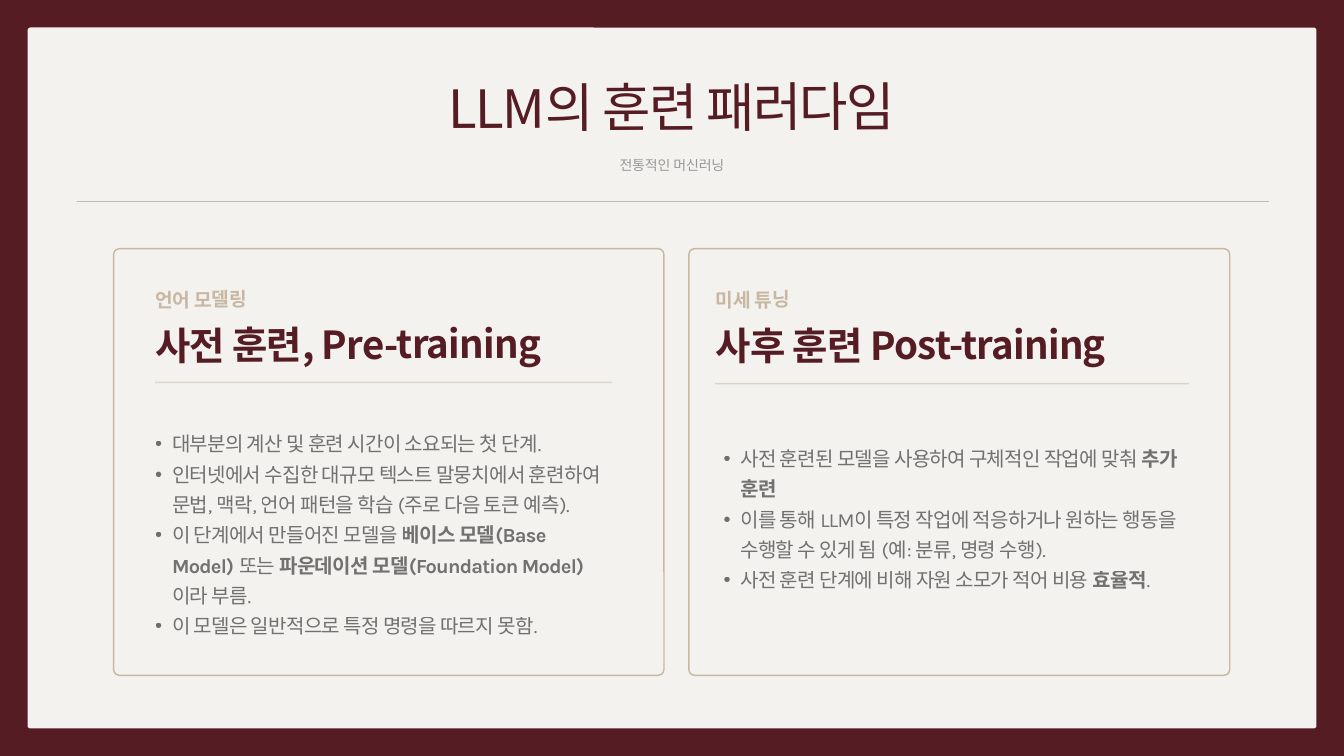
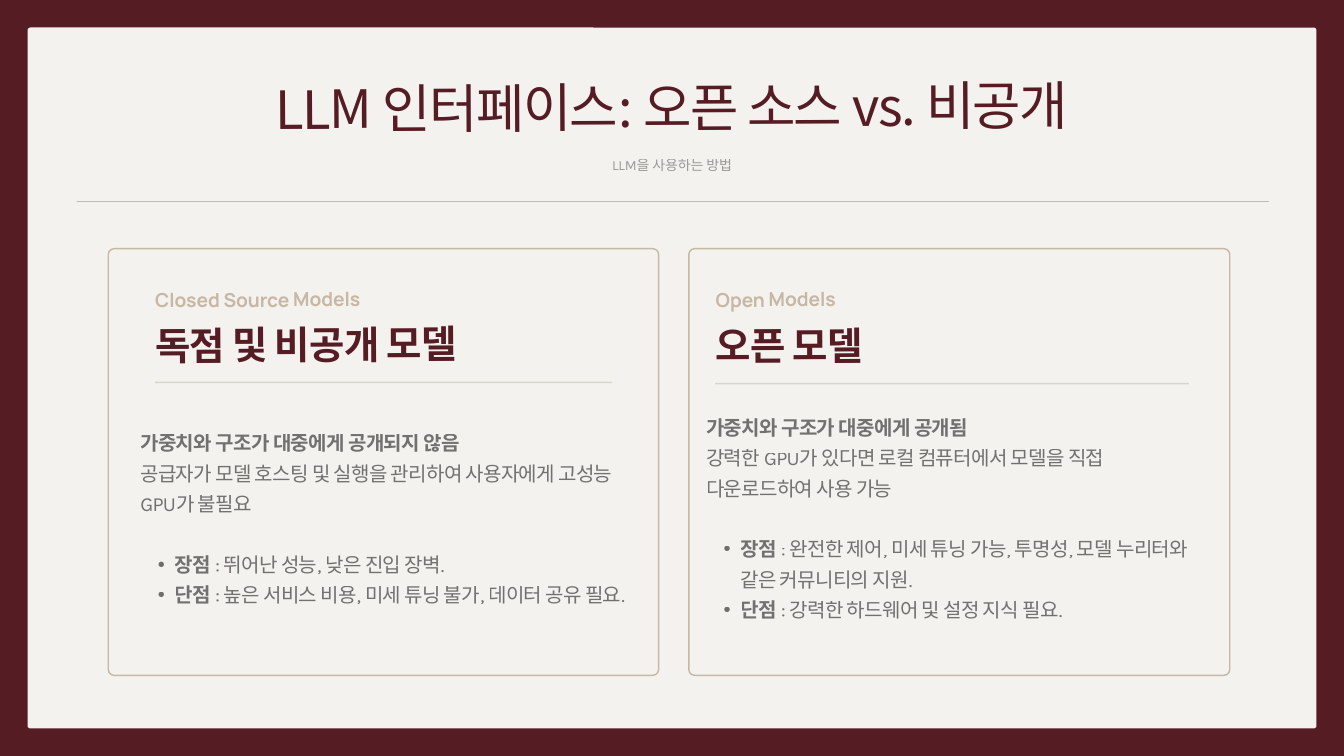
from dataclasses import dataclass

from lxml import etree
from pptx import Presentation
from pptx import util as u
from pptx.dml import color
from pptx.enum import shapes, text
from pptx.oxml import ns

Pt = u.Pt


@dataclass(frozen=True)
class TextStyle:
    size: float
    leading: float
    font: str
    ink: str
    tracking: float
    bold: bool = False
    opacity: int = 100
    align: text.PP_ALIGN = text.PP_ALIGN.LEFT


class Theme:
    WINE, PAPER, SAND, INK, BLACK = "561C24", "F3F2EF", "C7B7A3", "222222", "000000"
    SANS = "Noto Sans CJK KR"
    TITLE = TextStyle(56.5, 57.6, SANS, WINE, -1.8, align=text.PP_ALIGN.CENTER)
    SUBTITLE = TextStyle(15, 23.1, "Karla", BLACK, -0.2, opacity=36, align=text.PP_ALIGN.CENTER)
    EYEBROW = TextStyle(20.6, 21, "Manrope", SAND, -0.1, bold=True)
    HEADING = TextStyle(41.3, 48.7, SANS, WINE, -0.9, bold=True)
    BODY = TextStyle(21.5, 32.5, "Karla", INK, -0.8, opacity=62)
    TILT = 359.7
    INDENT, HANGING = 36.7, 18


WIDTH, HEIGHT = 1440, 810
MARGIN = 29.5
CARD_TOP, CARD_HEIGHT = 266.4, 457.2
COMPARISON_LAYOUT = 4


@dataclass(frozen=True)
class Column:
    text_left: float
    heading_top: float
    heading_width: float
    rule_left: float
    rule_right: float
    rule_top: float
    card_width: float


LEFT = Column(166.3, 344.2, 488.9, 166.3, 655.9, 409.7, 589.7)
RIGHT = Column(766.8, 344.9, 506.9, 766.1, 1273.7, 411.1, 579.6)

PAGES = [
    {
        "title": ("LLM의 훈련 패러다임", 547.2),
        "subtitle": "전통적인 머신러닝",
        "cards": [
            {
                "left": 121.7,
                "eyebrow": ("언어 모델링", 162),
                "heading": "사전 훈련, Pre-training",
                "list_area": (147.6, 455.8, 508.3, 192.2),
                "intro": [],
                "bullets": [
                    "대부분의 계산 및 훈련 시간이 소요되는 첫 단계.",
                    "인터넷에서 수집한 대규모 텍스트 말뭉치에서 훈련하여 문법, 맥락, 언어 패턴을 학습 (주로 다음 토큰 예측).",
                    "이 단계에서 만들어진 모델을 **베이스 모델(Base Model)** 또는** 파운데이션 모델(Foundation Model)**이라 부름.",
                    "이 모델은 일반적으로 특정 명령을 따르지 못함.",
                ],
            },
            {
                "left": 738,
                "eyebrow": ("미세 튜닝", 162),
                "heading": "사후 훈련 Post-training",
                "list_area": (756.7, 471.6, 516.2, 159.8),
                "intro": [],
                "bullets": [
                    "사전 훈련된 모델을 사용하여 구체적인 작업에 맞춰 **추가 훈련**",
                    "이를 통해 LLM이 특정 작업에 적응하거나 원하는 행동을 수행할 수 있게 됨 (예: 분류, 명령 수행).",
                    "사전 훈련 단계에 비해 자원 소모가 적어 비용 **효율적**.",
                ],
            },
        ],
    },
    {
        "title": ("LLM 인터페이스: 오픈 소스 vs. 비공개", 936),
        "subtitle": "LLM을 사용하는 방법",
        "cards": [
            {
                "left": 116,
                "eyebrow": ("Closed Source Models", 347.8),
                "heading": "독점 및 비공개 모델",
                "list_area": (150.5, 455, 520.6, 192.2),
                "intro": [
                    "**가중치와 구조가 대중에게 공개되지 않음**",
                    "공급자가 모델 호스팅 및 실행을 관리하여 사용자에게 고성능 GPU가 불필요",
                ],
                "bullets": [
                    "**장점 **: 뛰어난 성능, 낮은 진입 장벽.",
                    "**단점 **: 높은 서비스 비용, 미세 튜닝 불가, 데이터 공유 필요.",
                ],
            },
            {
                "left": 738,
                "eyebrow": ("Open Models", 162),
                "heading": "오픈 모델",
                "list_area": (756.7, 438.5, 542.9, 224.6),
                "intro": [
                    "**가중치와 구조가 대중에게 공개됨**",
                    "강력한 GPU가 있다면 로컬 컴퓨터에서 모델을 직접 다운로드하여 사용 가능",
                ],
                "bullets": [
                    "**장점 **: 완전한 제어, 미세 튜닝 가능, 투명성, 모델 누리터와 같은 커뮤니티의 지원.",
                    "**단점 **: 강력한 하드웨어 및 설정 지식 필요.",
                ],
            },
        ],
    },
]


def fade(element, percent):
    if percent < 100:
        for ink in element.iter(ns.qn("a:srgbClr")):
            etree.SubElement(ink, ns.qn("a:alpha"), val=str(percent * 1000))


class Builder:
    def __init__(self, deck, theme):
        self.deck, self.theme, self.page = deck, theme, None
        fill = deck.slide_master.background.fill
        fill.solid()
        fill.fore_color.rgb = color.RGBColor.from_string(theme.WINE)

    def new_page(self):
        self.page = self.deck.slides.add_slide(self.deck.slide_layouts[COMPARISON_LAYOUT])
        self.panel()
        self.rule(82, 1359.4, 216, self.theme.INK, 0.75, 40)

    def rounded(self, left, top, width, height, radius):
        shape = self.page.shapes.add_shape(
            shapes.MSO_SHAPE.ROUNDED_RECTANGLE, Pt(left), Pt(top), Pt(width), Pt(height))
        shape.adjustments[0] = radius / min(width, height)
        shape.shadow.inherit = False
        return shape

    def panel(self):
        panel = self.rounded(MARGIN, MARGIN, WIDTH - 2 * MARGIN, HEIGHT - 2 * MARGIN, 3)
        panel.fill.solid()
        panel.fill.fore_color.rgb = color.RGBColor.from_string(self.theme.PAPER)
        panel.line.fill.background()
        panel.element.getparent().insert(2, panel.element)

    def card(self, left, width):
        card = self.rounded(left, CARD_TOP, width, CARD_HEIGHT, 6.3)
        card.fill.background()
        card.line.color.rgb = color.RGBColor.from_string(self.theme.SAND)
        card.line.width = Pt(1.5)

    def rule(self, start, end, top, ink, weight, opacity):
        rule = self.page.shapes.add_connector(
            shapes.MSO_CONNECTOR.STRAIGHT, Pt(start), Pt(top), Pt(end), Pt(top))
        rule.line.color.rgb = color.RGBColor.from_string(ink)
        rule.line.width = Pt(weight)
        fade(rule.element, opacity)
        etree.SubElement(rule.element.spPr, ns.qn("a:effectLst"))

    def place(self, box, area, tilted=False):
        box.left, box.top, box.width, box.height = (Pt(length) for length in area)
        if tilted:
            box.rotation = self.theme.TILT
        frame = box.text_frame
        frame.word_wrap = True
        frame.auto_size = text.MSO_AUTO_SIZE.SHAPE_TO_FIT_TEXT
        frame.vertical_anchor = text.MSO_ANCHOR.TOP
        frame.margin_left = frame.margin_top = frame.margin_right = frame.margin_bottom = 0
        return frame

    def format_para(self, para, style, before=0):
        para.alignment = style.align
        para.line_spacing = Pt(style.leading)
        para.space_before = Pt(before)
        para.space_after = Pt(0)
        for span in para.runs:
            self.format_span(span, style, style.bold)

    def format_span(self, span, style, bold):
        span.font.size = Pt(style.size)
        span.font.name = style.font
        span.font.bold = bold
        span.font.color.rgb = color.RGBColor.from_string(style.ink)
        props = span._r.get_or_add_rPr()
        props.set("spc", str(round(style.tracking * 100)))
        etree.SubElement(props, ns.qn("a:ea"), typeface=style.font)
        fade(props, style.opacity)

    def line_of_text(self, box, words, area, style, tilted=True):
        frame = self.place(box, area, tilted)
        frame.text = words
        self.format_para(frame.paragraphs[0], style)

    def label(self, words, area, style, tilted=True):
        box = self.page.shapes.add_textbox(0, 0, 0, 0)
        self.line_of_text(box, words, area, style, tilted)

    def set_bullet(self, para, bulleted):
        props = para._p.get_or_add_pPr()
        props.set("marL", str(Pt(self.theme.INDENT if bulleted else 0)))
        props.set("indent", str(Pt(-self.theme.HANGING if bulleted else 0)))
        if bulleted:
            etree.SubElement(props, ns.qn("a:buFont"), typeface="Arial")
            etree.SubElement(props, ns.qn("a:buChar"), char="•")
        else:
            etree.SubElement(props, ns.qn("a:buNone"))

    def body(self, box, area, intro, bullets):
        frame = self.place(box, area)
        style = self.theme.BODY
        for index, words in enumerate(intro + bullets):
            para = frame.add_paragraph() if index else frame.paragraphs[0]
            self.set_bullet(para, index >= len(intro))
            starts_list = index > 0 and index == len(intro)
            self.format_para(para, style, style.leading if starts_list else 0)
            for part, piece in enumerate(words.split("**")):
                if piece:
                    span = para.add_run()
                    span.text = piece
                    self.format_span(span, style, part % 2 == 1)

    def header(self, title, width, subtitle):
        self.line_of_text(self.page.shapes.title, title,
                          ((WIDTH - width) / 2, 90, width, 59), self.theme.TITLE)
        self.label(subtitle, (557.3, 162.7, 325.4, 20.9), self.theme.SUBTITLE, tilted=False)

    def column(self, column, card, heading_box, body_box):
        self.card(card["left"], column.card_width)
        eyebrow, width = card["eyebrow"]
        self.label(eyebrow, (column.text_left, 311.8, width, 22.3), self.theme.EYEBROW)
        self.line_of_text(heading_box, card["heading"],
                          (column.text_left, column.heading_top, column.heading_width, 48.2),
                          self.theme.HEADING)
        self.rule(column.rule_left, column.rule_right, column.rule_top, self.theme.SAND, 1.5, 49)
        self.body(body_box, card["list_area"], card["intro"], card["bullets"])


def main():
    deck = Presentation()
    deck.slide_width, deck.slide_height = Pt(WIDTH), Pt(HEIGHT)
    builder = Builder(deck, Theme())
    for content in PAGES:
        builder.new_page()
        builder.header(*content["title"], content["subtitle"])
        holders = builder.page.placeholders
        for number, (column, card) in enumerate(zip((LEFT, RIGHT), content["cards"])):
            builder.column(column, card, holders[2 * number + 1], holders[2 * number + 2])
    deck.save("out.pptx")


if __name__ == "__main__":
    main()
